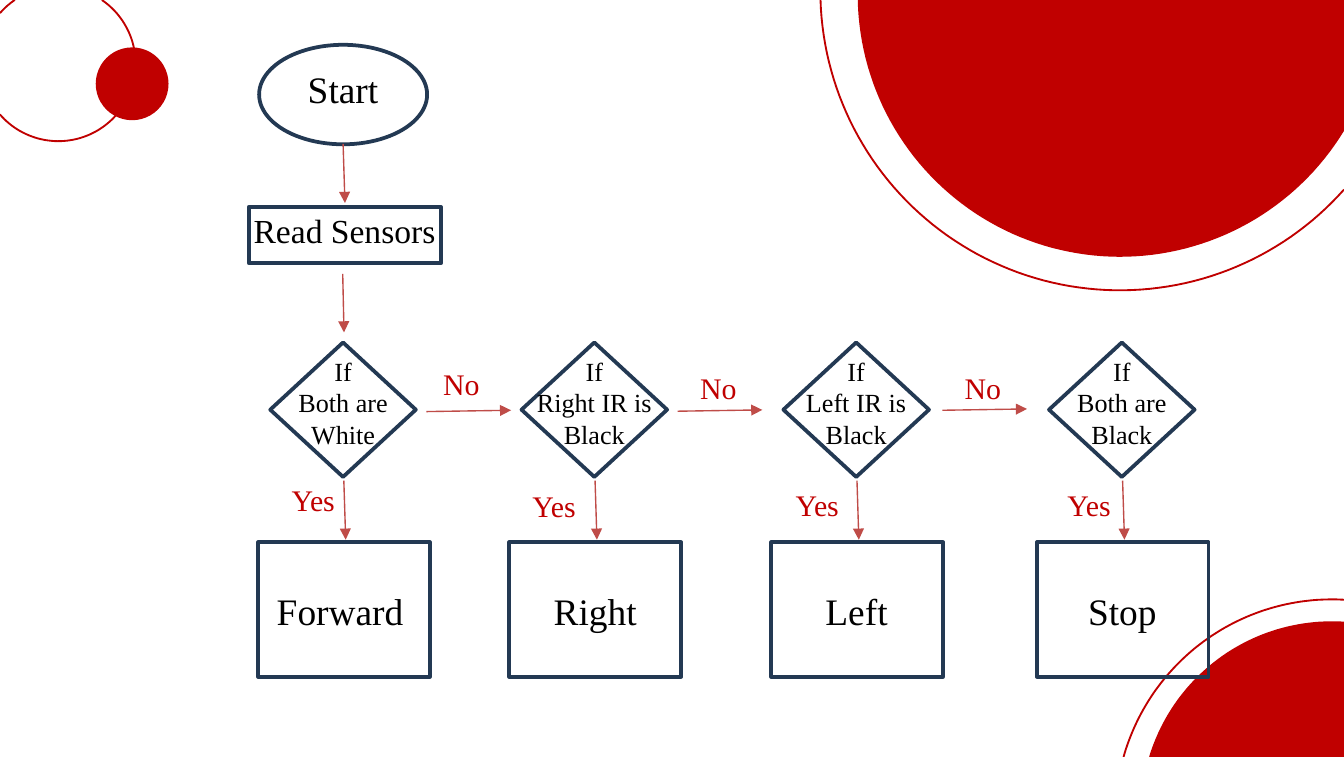
import math
from lxml import etree
from pptx import Presentation
from pptx.dml import color
from pptx.enum import shapes, text
from pptx.oxml import ns
from pptx.util import Pt

COLORS = {"red": "C00000", "navy": "233953", "arrow": "BF4C48", "ink": "000000"}
RGB = {name: color.RGBColor.from_string(value) for name, value in COLORS.items()}
W, H = 720, 405.36
FRAME = {"word_wrap": True, "auto_size": text.MSO_AUTO_SIZE.SHAPE_TO_FIT_TEXT}

prs = Presentation()
prs.slide_width, prs.slide_height = Pt(W), Pt(H)
slide = prs.slides.add_slide(prs.slide_layouts[6])


def style(outline, fill=None, line=None, width=1):
    outline.shadow.inherit = False
    if fill:
        outline.fill.solid()
        outline.fill.fore_color.rgb = RGB[fill]
    else:
        outline.fill.background()
    if line:
        outline.line.color.rgb = RGB[line]
        outline.line.width = Pt(width)
    else:
        outline.line.fill.background()


def label(words, center, top, width, height, size, ink="ink"):
    box = slide.shapes.add_textbox(Pt(center - width / 2), Pt(top), Pt(width), Pt(height))
    for key, value in FRAME.items():
        setattr(box.text_frame, key, value)
    box.text_frame.text = words
    paragraph = box.text_frame.paragraphs[0]
    paragraph.alignment = text.PP_ALIGN.CENTER
    for run in paragraph.runs:
        for key, value in {"name": "Times New Roman", "size": Pt(size)}.items():
            setattr(run.font, key, value)
        run.font.color.rgb = RGB[ink]
    # Line breaks take the size and face of the words around them
    for line_break in paragraph._p.findall(ns.qn("a:br")):
        props = etree.SubElement(line_break, ns.qn("a:rPr"), sz=str(size * 100))
        etree.SubElement(props, ns.qn("a:latin"), typeface="Times New Roman")


# Corner circles cut at the slide edge: centre, radius, angles, corner of a filled one
arcs = [
    (600, -3, 140.5, 178.8, 31.3, (W, 0)),
    (600, -5, 160.5, 178.2, 41.6, None),
    (713.5, 435, 102.3, 196.84, 273.64, (W, H)),
    (713.5, 437, 116, 195.83, 273.2, None),
    (31.3, 34.2, 41.4, -55.7, 139.1, None),
    (31.3, 34.2, 41.4, 220.9, 235.7, None),
]
STEPS = 80
for cx, cy, radius, start, end, corner in arcs:
    angles = [math.radians(start + (end - start) * i / STEPS) for i in range(STEPS + 1)]
    points = [(Pt(cx + radius * math.cos(a)), Pt(cy + radius * math.sin(a))) for a in angles]
    if corner:
        points.append((Pt(corner[0]), Pt(corner[1])))
    builder = slide.shapes.build_freeform(*points[0])
    builder.add_line_segments(points[1:], close=bool(corner))
    arc = builder.convert_to_shape()
    style(arc, fill="red" if corner else None, line=None if corner else "red")

dot = slide.shapes.add_shape(shapes.MSO_SHAPE.OVAL, Pt(51.3), Pt(25.4), Pt(39), Pt(39))
style(dot, fill="red")

# Flow steps: centre, question, its width, action, its centre and width, Yes centre and top
columns = [
    (183.8, "If\vBoth are\vWhite", 140, "Forward", 182.2, 90, 167.8, 254.4),
    (318.4, "If\vRight IR is\vBlack", 140, "Right", 318.9, 66, 296.8, 257.8),
    (458.7, "If\vLeft IR is\vBlack", 114, "Left", 458.9, 66, 437.8, 257.2),
    (601, "If\vBoth are\vBlack", 140, "Stop", 601.3, 66, 583.4, 257.2),
]
first = columns[0][0]
nodes = [
    (shapes.MSO_SHAPE.OVAL, first, 24, 90, 53.3),
    (shapes.MSO_SHAPE.RECTANGLE, first + 1, 110.8, 103, 30.2),
]
for center, *_ in columns:
    nodes += [
        (shapes.MSO_SHAPE.DIAMOND, center, 183.4, 78, 72),
        (shapes.MSO_SHAPE.RECTANGLE, center + 0.5, 290.4, 92, 72),
    ]
for kind, center, top, width, height in nodes:
    node = slide.shapes.add_shape(kind, Pt(center - width / 2), Pt(top), Pt(width), Pt(height))
    style(node, line="navy", width=2)

# Step wording
label("Start", first, 31.7, 66, 31.5, 20)
label("Read Sensors", first + 0.8, 108.7, 140, 29.1, 18)
for center, question, question_width, action, action_center, action_width, yes, yes_top in columns:
    label(question, center, 186.6, question_width, 58.2, 14)
    label(action, action_center, 311.2, action_width, 31.5, 20)
    label("Yes", yes, yes_top, 66, 26.6, 16, "red")
for no, no_top in [(247.2, 192.2), (384.8, 194.4), (526.6, 194.4)]:
    label("No", no, no_top, 66, 26.6, 16, "red")

# Arrows: down the first column, to each action, and across the questions
arrows = [(first, 77, first + 1, 108.7), (first - 0.2, 146.7, first + 0.5, 178)]
arrows += [(c[0] + 0.4, 257.4, c[0] + 1.4, 289) for c in columns]
arrows += [(x, y, x + 45.4, y - 0.7) for x, y in [(228.4, 220.4), (363, 220.2), (504.8, 219.7)]]
for x1, y1, x2, y2 in arrows:
    arrow = slide.shapes.add_connector(
        shapes.MSO_CONNECTOR.STRAIGHT, Pt(x1), Pt(y1), Pt(x2), Pt(y2))
    arrow.line.color.rgb = RGB["arrow"]
    arrow.line.width = Pt(0.75)
    etree.SubElement(arrow.line._get_or_add_ln(), ns.qn("a:tailEnd"), type="triangle")
    etree.SubElement(arrow._element.spPr, ns.qn("a:effectLst"))

prs.save("out.pptx")
